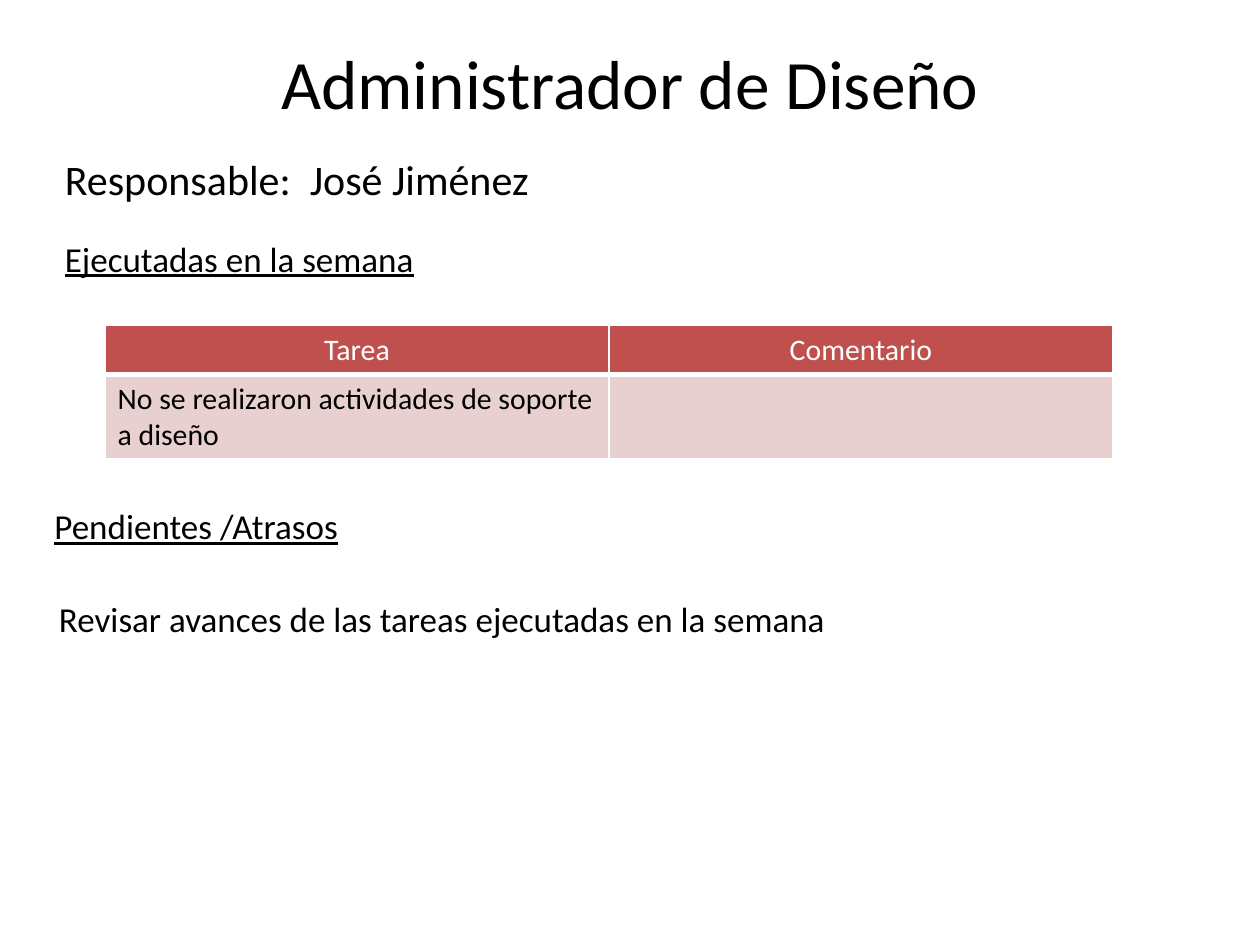
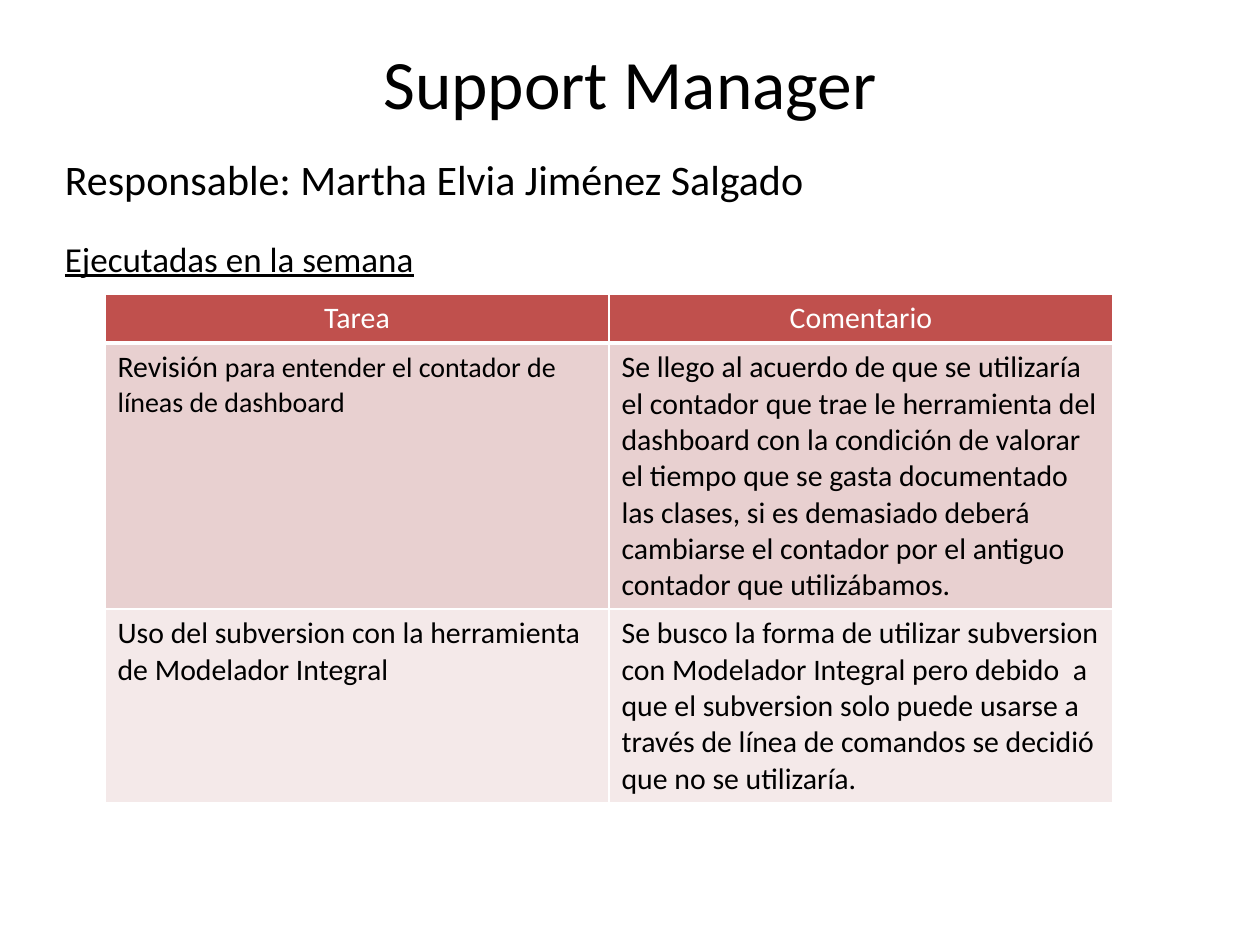
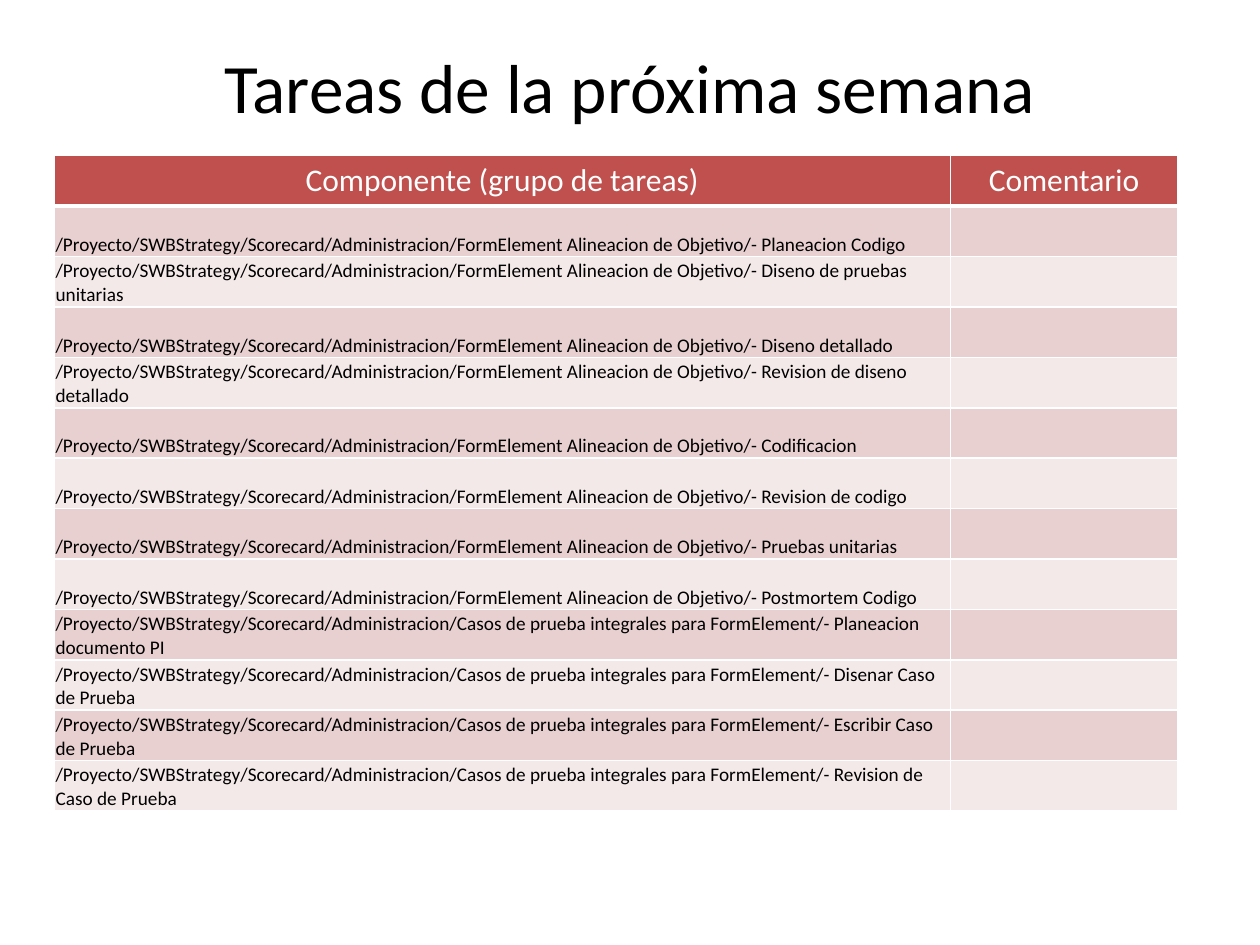
from dataclasses import dataclass
from typing import Any

import pptx
import pptx.dml.color
import pptx.enum.text
import pptx.oxml
import pptx.oxml.ns
import pptx.util

Pt = pptx.util.Pt
ALIGN = pptx.enum.text.PP_ALIGN
ANCHOR = pptx.enum.text.MSO_ANCHOR

FONT = "Calibri"
BLACK, WHITE = "000000", "FFFFFF"
HEADER_FILL = "C0504D"
BAND_FILLS = ("E8D0D0", "F4E9E9")
TITLE_SIZE = 39.6
HANGING_INDENT = 27
TITLE_ONLY_LAYOUT = 5


@dataclass(frozen=True)
class Run:
    text: str
    size: float
    color: str = BLACK
    underline: bool = False


@dataclass(frozen=True)
class TextBox:
    left: float
    top: float
    height: float
    lines: tuple[Run, ...]
    width: float = 672
    line_gap: float = 19


@dataclass(frozen=True)
class TaskTable:
    left: float
    top: float
    column_widths: tuple[float, ...]
    row_heights: tuple[float, ...]
    header: tuple[str, ...]
    header_size: float
    rows: tuple[tuple[tuple[Run, ...], ...], ...]
    body_format: dict[str, Any]


@dataclass(frozen=True)
class TaskSlide:
    title: str
    title_height: float
    boxes: tuple[TextBox, ...]
    table: TaskTable


def rgb(color: str) -> pptx.dml.color.RGBColor:
    return pptx.dml.color.RGBColor.from_string(color)


def apply_format(target: Any, values: dict[str, Any]) -> None:
    for name, value in values.items():
        setattr(target, name, value)


def add_run(paragraph: Any, run: Run) -> None:
    text_run = paragraph.add_run()
    text_run.text = run.text
    apply_format(text_run.font, {"name": FONT, "size": Pt(run.size),
                                 "bold": False, "underline": run.underline})
    text_run.font.color.rgb = rgb(run.color)


def add_title(slide: Any, text: str, height: float) -> None:
    title = slide.shapes.title
    apply_format(title, {"left": Pt(36), "top": Pt(21.6),
                         "width": Pt(648), "height": Pt(height)})
    apply_format(title.text_frame, {"vertical_anchor": ANCHOR.MIDDLE, "word_wrap": True})
    paragraph = title.text_frame.paragraphs[0]
    paragraph.alignment = ALIGN.CENTER
    add_run(paragraph, Run(text, TITLE_SIZE))


def add_text_box(slide: Any, box: TextBox) -> None:
    shape = slide.shapes.add_textbox(Pt(box.left), Pt(box.top), Pt(box.width), Pt(box.height))
    frame = shape.text_frame
    frame.word_wrap = True
    for index, line in enumerate(box.lines):
        paragraph = frame.add_paragraph() if index else frame.paragraphs[0]
        if index:
            paragraph.space_before = Pt(box.line_gap)
        properties = paragraph._p.get_or_add_pPr()
        properties.set("marL", str(Pt(HANGING_INDENT)))
        properties.set("indent", str(-Pt(HANGING_INDENT)))
        add_run(paragraph, line)


def set_borders(cell: Any, bottom: float) -> None:
    """Draw white cell borders, one point wide except at the bottom."""
    properties = cell._tc.get_or_add_tcPr()
    namespace = pptx.oxml.ns.nsdecls("a")
    for index, (side, width) in enumerate({"L": 1, "R": 1, "T": 1, "B": bottom}.items()):
        properties.insert(index, pptx.oxml.parse_xml(
            f'<a:ln{side} {namespace} w="{Pt(width)}"><a:solidFill>'
            f'<a:srgbClr val="{WHITE}"/></a:solidFill></a:ln{side}>'))


def fill_cell(cell: Any, runs: tuple[Run, ...], fill: str, bottom: float) -> None:
    cell.fill.solid()
    cell.fill.fore_color.rgb = rgb(fill)
    set_borders(cell, bottom)
    for run in runs:
        add_run(cell.text_frame.paragraphs[0], run)


def add_task_table(slide: Any, spec_table: TaskTable) -> None:
    widths, heights = spec_table.column_widths, spec_table.row_heights
    table = slide.shapes.add_table(
        len(heights), len(widths), Pt(spec_table.left), Pt(spec_table.top),
        Pt(sum(widths)), Pt(sum(heights))).table
    for column, width in zip(table.columns, widths):
        column.width = Pt(width)
    for row, height in zip(table.rows, heights):
        row.height = Pt(height)
    for column, text in enumerate(spec_table.header):
        cell = table.cell(0, column)
        fill_cell(cell, (Run(text, spec_table.header_size, WHITE),), HEADER_FILL, 3)
        cell.text_frame.paragraphs[0].alignment = ALIGN.CENTER
    for row, cells in enumerate(spec_table.rows, start=1):
        for column, runs in enumerate(cells):
            cell = table.cell(row, column)
            fill_cell(cell, runs, BAND_FILLS[(row - 1) % 2], 1)
            apply_format(cell, spec_table.body_format)


def manager_heading(name_line: str) -> TextBox:
    return TextBox(30, 84.2, 90, (Run(name_line, 24),
                                  Run("Ejecutadas en la semana", 20, underline=True)))


def weekly_table(top: float, row_heights: tuple[float, ...],
                 rows: tuple[tuple[tuple[Run, ...], ...], ...]) -> TaskTable:
    return TaskTable(60, top, (288, 288), (28, *row_heights),
                     ("Tarea", "Comentario"), 17, rows, {})


FORM_ELEMENT_TASKS = ("Planeacion Codigo", "Diseno de pruebas unitarias", "Diseno detallado",
                      "Revision de diseno detallado", "Codificacion", "Revision de codigo",
                      "Pruebas unitarias", "Postmortem Codigo")
TEST_CASE_TASKS = ("Planeacion documento PI", "Disenar Caso de Prueba",
                   "Escribir Caso de Prueba", "Revision de Caso de Prueba")
TASK_GROUPS = {
    "FormElement Alineacion de Objetivo": FORM_ELEMENT_TASKS,
    "Casos de prueba integrales para FormElement": TEST_CASE_TASKS,
}
NEXT_WEEK_ROWS = tuple(
    ((Run(f"/Proyecto/SWBStrategy/Scorecard/Administracion/{group}/- {task}", 11),), ())
    for group, tasks in TASK_GROUPS.items() for task in tasks)

SLIDES = (
    TaskSlide(
        "Administrador de Diseño", 50,
        (manager_heading("Responsable:  José Jiménez"),
         TextBox(24, 285, 42, (Run("Pendientes /Atrasos", 20, underline=True),)),
         TextBox(26.6, 337.7, 42,
                 (Run("Revisar avances de las tareas ejecutadas en la semana", 20),))),
        weekly_table(186, (48,), (
            ((Run("No se realizaron actividades de soporte a diseño", 17),), ()),))),
    TaskSlide(
        "Support Manager", 50,
        (manager_heading("Responsable: Martha Elvia Jiménez Salgado"),),
        weekly_table(168, (152, 111), (
            ((Run("Revisión ", 17),
              Run("para entender el contador de líneas de dashboard", 16)),
             (Run("Se llego al acuerdo de que se utilizaría el contador que trae le "
                  "herramienta del dashboard con la condición de valorar el tiempo que se "
                  "gasta documentado las clases, si es demasiado deberá cambiarse el "
                  "contador por el antiguo contador que utilizábamos.", 17),)),
            ((Run("Uso del subversion con la herramienta de Modelador Integral", 17),),
             (Run("Se busco la forma de utilizar subversion con Modelador Integral pero "
                  "debido  a que el subversion solo puede usarse a través de línea de "
                  "comandos se decidió que no se utilizaría.", 17),))))),
    TaskSlide(
        "Tareas de la próxima semana", 55, (),
        TaskTable(31, 88.6, (512, 130), (28.8,) * (len(NEXT_WEEK_ROWS) + 1),
                  ("Componente (grupo de tareas)", "Comentario"), 18, NEXT_WEEK_ROWS,
                  {"vertical_anchor": ANCHOR.BOTTOM, "margin_left": Pt(0.72),
                   "margin_right": Pt(0.72), "margin_top": Pt(0.72), "margin_bottom": 0})),
)


def main() -> None:
    presentation = pptx.Presentation()
    apply_format(presentation, {"slide_width": Pt(720), "slide_height": Pt(540)})
    for content in SLIDES:
        slide = presentation.slides.add_slide(presentation.slide_layouts[TITLE_ONLY_LAYOUT])
        add_title(slide, content.title, content.title_height)
        for box in content.boxes:
            add_text_box(slide, box)
        add_task_table(slide, content.table)
    presentation.save("out.pptx")


if __name__ == "__main__":
    main()
